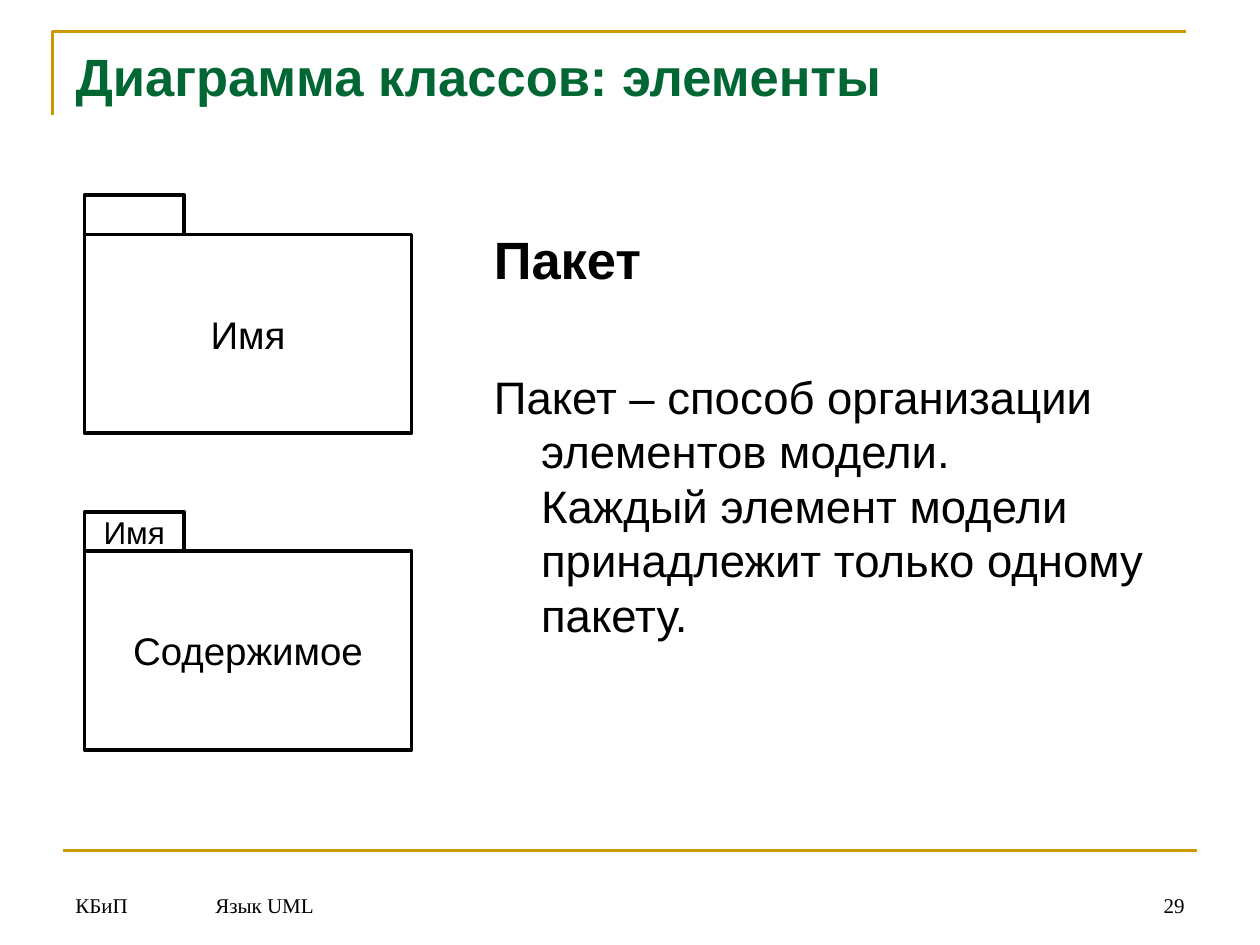
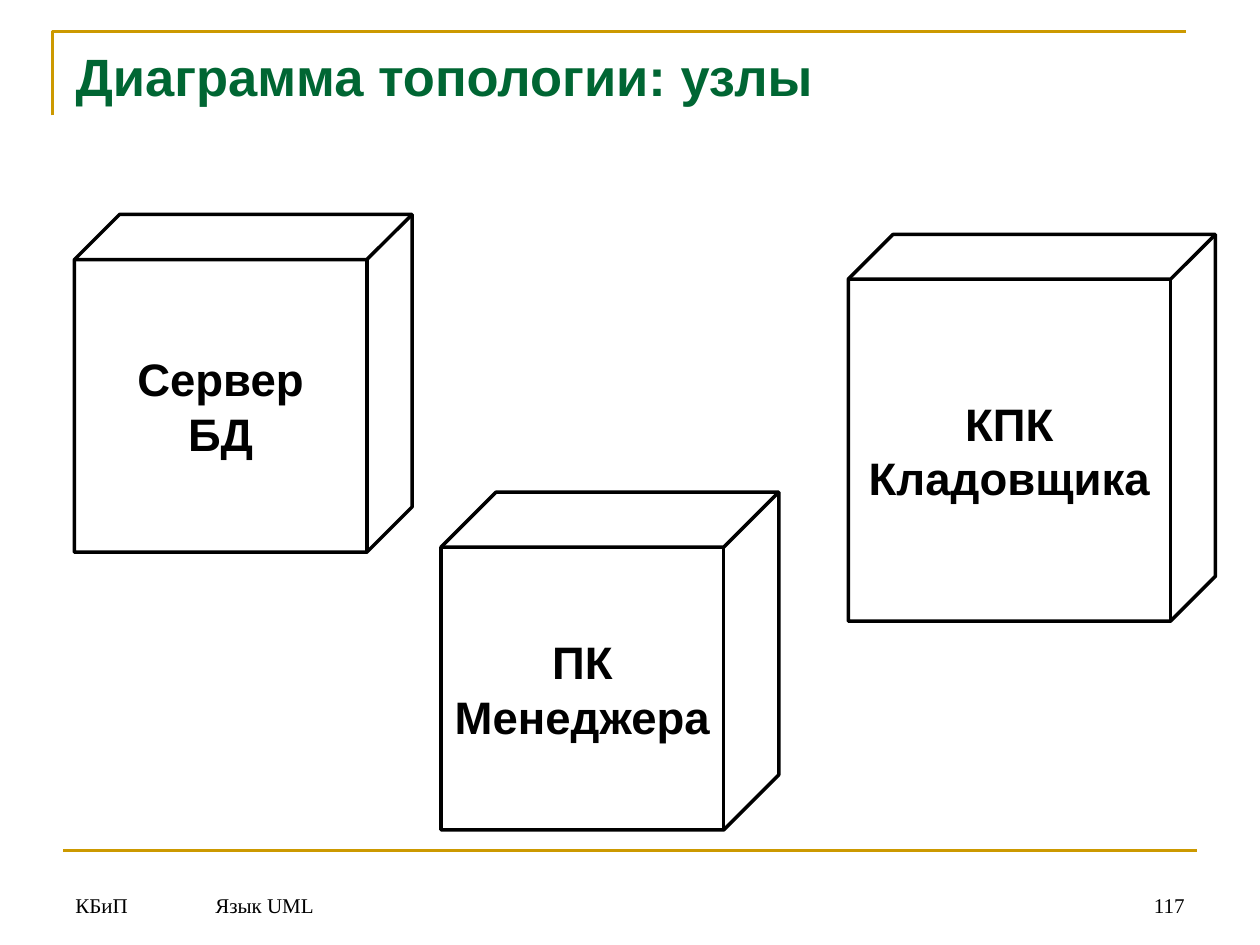
from dataclasses import dataclass

from pptx import Presentation
from pptx.dml.color import RGBColor
from pptx.enum.shapes import MSO_CONNECTOR as Link, MSO_SHAPE as Form
from pptx.enum.text import MSO_ANCHOR as Anchor, MSO_AUTO_SIZE as Fit, PP_ALIGN as Align
from pptx.oxml.ns import qn
from pptx.slide import Slide
from pptx.util import Pt

GOLD = RGBColor(0xCC, 0x99, 0x00)
GREEN = RGBColor(0x00, 0x66, 0x33)
BLACK = RGBColor(0, 0, 0)
SANS = "Arial"
SERIF = "Times New Roman"
PAGE_W, PAGE_H = 720, 540
EDGE = 36
HANG = 27


@dataclass(frozen=True)
class Box:
    left: float
    top: float
    width: float
    height: float

    def place(self) -> tuple[Pt, Pt, Pt, Pt]:
        return Pt(self.left), Pt(self.top), Pt(self.width), Pt(self.height)


@dataclass(frozen=True)
class Style:
    size: float
    bold: bool = False
    color: RGBColor = BLACK
    font: str = SANS


@dataclass(frozen=True)
class Pack:
    """A UML package: a tab above a body."""
    top: float
    tab: str
    text: str


@dataclass(frozen=True)
class Node:
    """A UML node: a cube whose depth is a share of its shorter side."""
    box: Box
    depth: float
    lines: tuple[str, ...]


@dataclass(frozen=True)
class Note:
    box: Box
    align: Align


HEAD = Style(30, True, GREEN)
TERM = Style(30, True)
PLAIN = Style(26)
STRONG = Style(26, True)
NAME = Style(22)
LABEL = Style(18)
FOOT = Style(12, font=SERIF)

TITLE = Box(EDGE, 21.6, 648, 90)
BODY = Box(275, 126, 409, 356.4)
NOTES = (
    Note(Box(EDGE, 492, 69, 36), Align.LEFT),
    Note(Box(116, 492, 521, 36), Align.LEFT),
    Note(Box(643.5, 492, 40.5, 36), Align.RIGHT),
)
PACK_LEFT = 48.25
PACK_W, PACK_H = 187, 113.5
TAB_W, TAB_H = 57, 22.5
PACKS = (Pack(111.5, "", "Имя"), Pack(292.5, "Имя", "Содержимое"))
NODES = (
    Node(Box(42.5, 122.5, 193, 193), 0.134, ("Сервер", "БД")),
    Node(Box(484.75, 134, 209.75, 221), 0.122, ("КПК", "Кладовщика")),
    Node(Box(252, 281.25, 193, 193), 0.163, ("ПК", "Менеджера")),
)


def add_run(para, text: str, style: Style) -> None:
    run = para.add_run()
    run.text = text
    font = run.font
    font.name, font.size, font.bold = style.font, Pt(style.size), style.bold
    font.color.rgb = style.color


def write(frame, lines: tuple[str, ...], style: Style, align: Align) -> None:
    """Fill a text frame with one paragraph per line."""
    for i, line in enumerate(lines):
        para = frame.add_paragraph() if i else frame.paragraphs[0]
        para.alignment = align
        add_run(para, line, style)


def set_line(shape, color: RGBColor, width: float) -> None:
    shape.line.color.rgb = color
    shape.line.width = Pt(width)


def draw_form(slide: Slide, form: Form, box: Box, lines: tuple[str, ...], style: Style):
    shape = slide.shapes.add_shape(form, *box.place())
    shape.shadow.inherit = False
    shape.fill.background()
    set_line(shape, BLACK, 2)
    frame = shape.text_frame
    frame.word_wrap = False
    frame.vertical_anchor = Anchor.MIDDLE
    write(frame, lines, style, Align.CENTER)
    return shape


def draw_pack(slide: Slide, pack: Pack) -> None:
    body = Box(PACK_LEFT, pack.top + TAB_H, PACK_W, PACK_H)
    tab = Box(PACK_LEFT, pack.top, TAB_W, TAB_H)
    draw_form(slide, Form.RECTANGLE, body, (pack.text,), NAME)
    draw_form(slide, Form.RECTANGLE, tab, (pack.tab,) if pack.tab else (), LABEL)


def draw_node(slide: Slide, node: Node) -> None:
    cube = draw_form(slide, Form.CUBE, node.box, node.lines, STRONG)
    cube.adjustments[0] = node.depth


def draw_rules(slide: Slide) -> None:
    """Draw the gold corner at the top and the gold line at the foot."""
    path = slide.shapes.build_freeform(Pt(30), Pt(66))
    path.add_line_segments([(Pt(30), Pt(18)), (Pt(678), Pt(18))], close=False)
    corner = path.convert_to_shape()
    corner.shadow.inherit = False
    corner.fill.background()
    rule = slide.shapes.add_connector(
        Link.STRAIGHT, Pt(EDGE), Pt(486), Pt(PAGE_W - EDGE), Pt(486))
    rule._element.spPr.get_or_add_effectLst() if hasattr(
        rule._element.spPr, "get_or_add_effectLst") else None
    for shape in (corner, rule):
        set_line(shape, GOLD, 1.5)
    props = rule._element.spPr
    if props.find(qn("a:effectLst")) is None:
        props.append(props.makeelement(qn("a:effectLst"), {}))


def set_frame(holder, box: Box):
    """Move a placeholder and make its text start at the top."""
    holder.left, holder.top, holder.width, holder.height = box.place()
    frame = holder.text_frame
    frame.word_wrap = True
    frame.auto_size = Fit.NONE
    frame.vertical_anchor = Anchor.TOP
    return frame


def add_slide(deck, layout: int, title: str, number: int) -> Slide:
    slide = deck.slides.add_slide(deck.slide_layouts[layout])
    draw_rules(slide)
    for note, text in zip(NOTES, ("КБиП", "Язык UML", str(number))):
        frame = slide.shapes.add_textbox(*note.box.place()).text_frame
        frame.word_wrap = True
        frame.vertical_anchor = Anchor.BOTTOM
        write(frame, (text,), FOOT, note.align)
    write(set_frame(slide.shapes.title, TITLE), (title,), HEAD, Align.LEFT)
    return slide


def hang(para, before: float) -> None:
    """Give a paragraph a hanging indent and no bullet."""
    props = para._p.get_or_add_pPr()
    props.set("marL", str(Pt(HANG)))
    props.set("indent", str(-Pt(HANG)))
    props.append(props.makeelement(qn("a:buNone"), {}))
    para.space_before = Pt(before)


def add_packs(deck) -> None:
    slide = add_slide(deck, 1, "Диаграмма классов: элементы", 29)
    frame = set_frame(slide.placeholders[1], BODY)
    term = frame.paragraphs[0]
    hang(term, 0)
    add_run(term, "Пакет", TERM)
    text = frame.add_paragraph()
    hang(text, 45)
    add_run(text, "Пакет – способ организации элементов модели.", PLAIN)
    text.add_line_break()
    add_run(text, "Каждый элемент модели принадлежит только одному пакету.", PLAIN)
    for pack in PACKS:
        draw_pack(slide, pack)


def add_nodes(deck) -> None:
    slide = add_slide(deck, 5, "Диаграмма топологии: узлы", 117)
    for node in NODES:
        draw_node(slide, node)


def main() -> None:
    deck = Presentation()
    deck.slide_width, deck.slide_height = Pt(PAGE_W), Pt(PAGE_H)
    add_packs(deck)
    add_nodes(deck)
    deck.save("out.pptx")


if __name__ == "__main__":
    main()
